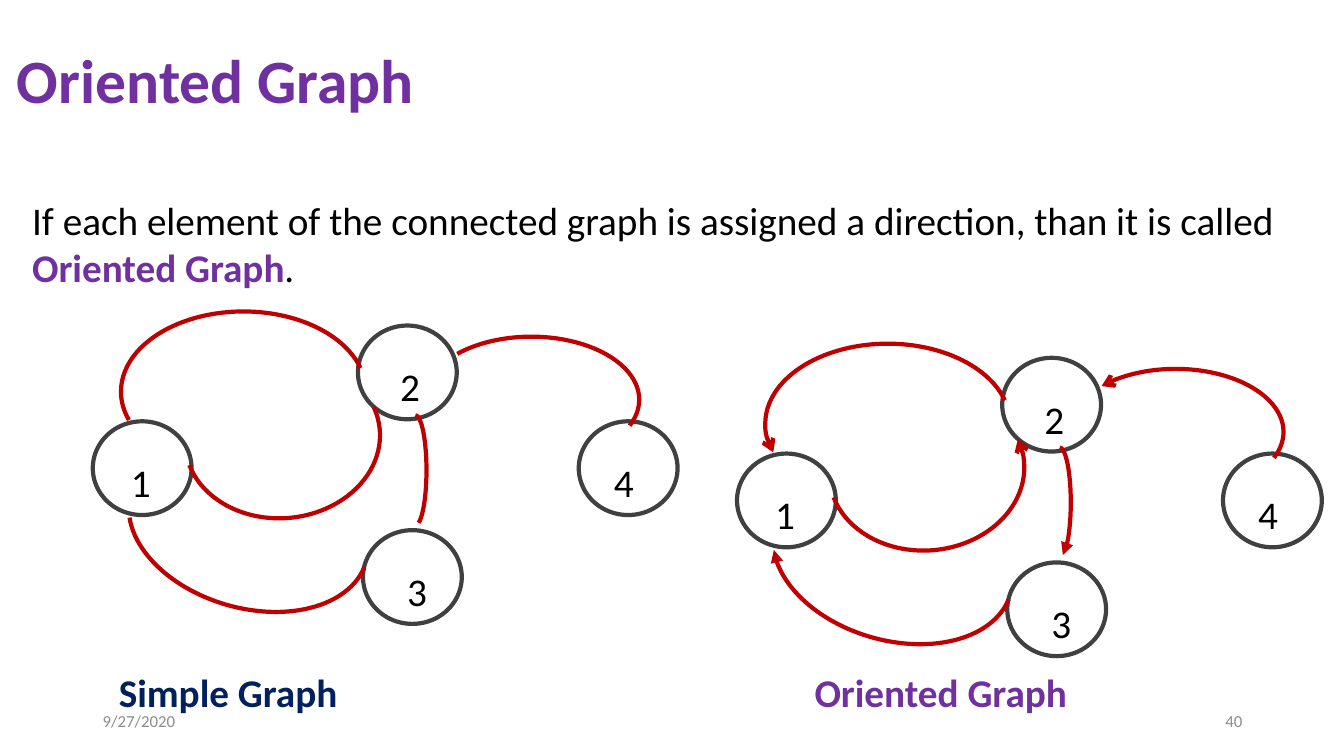
"""Build a slide that compares a simple graph with an oriented graph."""
from lxml.etree import SubElement
from pptx import Presentation
from pptx.dml.color import RGBColor
from pptx.enum.shapes import MSO_SHAPE
from pptx.enum.text import MSO_ANCHOR, MSO_AUTO_SIZE, PP_ALIGN
from pptx.oxml.ns import qn
from pptx.util import Inches, Pt

FONT = "Calibri"
BLACK = RGBColor(0x00, 0x00, 0x00)
GRAY = RGBColor(0x8C, 0x8C, 0x8C)
DARK_GRAY = RGBColor(0x40, 0x40, 0x40)
RED = RGBColor(0xC0, 0x00, 0x00)
NAVY = RGBColor(0x00, 0x20, 0x60)
PURPLE = RGBColor(0x70, 0x30, 0xA0)

NODE_SIZE = (0.98, 0.93)
NODES = [
    ("1", (0.92, 4.18), (1.2, 4.5, 0.36, 0.57)),
    ("4", (5.74, 4.18), (5.99, 4.5, 0.47, 0.57)),
    ("3", (3.6, 5.26), (3.94, 5.58, 0.29, 0.57)),
    ("2", (3.55, 3.23), (3.87, 3.55, 0.37, 0.57)),
]
EDGES = [
    ((1.2, 3.09, 2.43, 1.59), 0, (99.62, 209.19), ("headEnd", "arrow")),
    ((1.83, 3.55, 1.94, 1.59), 175.1, (99.62, 209.19), ("headEnd", "arrow")),
    ((1.25, 4.44, 2.43, 1.59), 196.2, (109.58, 209.19), ("tailEnd", "triangle")),
    ((4.01, 4.12, 0.22, 1.09), 0, (162, 51.89), ("tailEnd", "triangle")),
    ((4.2, 3.34, 2.14, 1.25), 0, (127.06, 8.87), ("headEnd", "arrow")),
]
ORIENTED_OFFSET = (6.39, 0.32)


def shifted(box, offset):
    """Return the box moved by the offset."""
    left, top, width, height = box
    return left + offset[0], top + offset[1], width, height


def add_text(slide, box, runs, size, align=PP_ALIGN.LEFT, anchor=MSO_ANCHOR.TOP):
    """Add a text box of (text, colour, bold) runs and return its paragraph."""
    text_frame = slide.shapes.add_textbox(*map(Inches, box)).text_frame
    text_frame.word_wrap = True
    text_frame.vertical_anchor = anchor
    if anchor == MSO_ANCHOR.TOP:
        text_frame.auto_size = MSO_AUTO_SIZE.SHAPE_TO_FIT_TEXT
    paragraph = text_frame.paragraphs[0]
    paragraph.alignment = align
    for text, color, bold in runs:
        run = paragraph.add_run()
        run.text = text
        run.font.name = FONT
        run.font.size = Pt(size)
        run.font.bold = bold
        run.font.color.rgb = color
    return paragraph


def add_outline(slide, preset, box, color):
    """Add an unfilled preset shape with a thick outline."""
    shape = slide.shapes.add_shape(preset, *map(Inches, box))
    shape.shadow.inherit = False
    shape.fill.background()
    shape.line.color.rgb = color
    shape.line.width = Pt(3)
    return shape


def add_edge(slide, box, rotation, angles, arrowhead):
    """Add a curved edge, with an arrowhead if one is given."""
    arc = add_outline(slide, MSO_SHAPE.ARC, box, RED)
    arc.rotation = rotation
    arc.adjustments[0], arc.adjustments[1] = angles
    if arrowhead:
        end, kind = arrowhead
        line = arc.line.fill._xPr
        SubElement(line, qn(f"a:{end}"), type=kind)


def add_graph(slide, offset, oriented):
    """Add the four nodes, their labels and the five edges."""
    for _, position, _ in NODES:
        add_outline(slide, MSO_SHAPE.OVAL, shifted(position + NODE_SIZE, offset), DARK_GRAY)
    for label, _, label_box in NODES:
        add_text(slide, shifted(label_box, offset), [(label, BLACK, False)], 28)
    for box, rotation, angles, arrowhead in EDGES:
        add_edge(slide, shifted(box, offset), rotation, angles, arrowhead if oriented else None)


def main():
    """Create the slide and save it."""
    presentation = Presentation()
    presentation.slide_width = Inches(13.33)
    presentation.slide_height = Inches(7.5)
    slide = presentation.slides.add_slide(presentation.slide_layouts[6])

    add_text(slide, (0.92, 6.95, 3, 0.4), [("9/27/2020", GRAY, False)], 12,
             anchor=MSO_ANCHOR.MIDDLE)
    add_text(slide, (9.42, 6.95, 3, 0.4), [("40", GRAY, False)], 12,
             PP_ALIGN.RIGHT, MSO_ANCHOR.MIDDLE)
    add_graph(slide, (0, 0), oriented=False)
    add_graph(slide, ORIENTED_OFFSET, oriented=True)
    add_text(slide, (1.08, 6.58, 3.5, 0.57), [("Simple Graph", NAVY, True)], 28)
    add_text(slide, (7.98, 6.58, 3.59, 0.57), [("Oriented Graph", PURPLE, True)], 28)
    add_text(slide, (0.22, 1.9, 12.88, 1.04), [
        ("If each element of the connected graph is assigned a direction, than it is called ",
         BLACK, False),
        ("Oriented Graph", PURPLE, True),
        (".", BLACK, False),
    ], 28)
    title = add_text(slide, (0.07, 0.1, 11.5, 1.45), [("Oriented Graph", PURPLE, True)], 44,
                     anchor=MSO_ANCHOR.MIDDLE)
    title.line_spacing = 0.9
    presentation.save("out.pptx")


if __name__ == "__main__":
    main()
